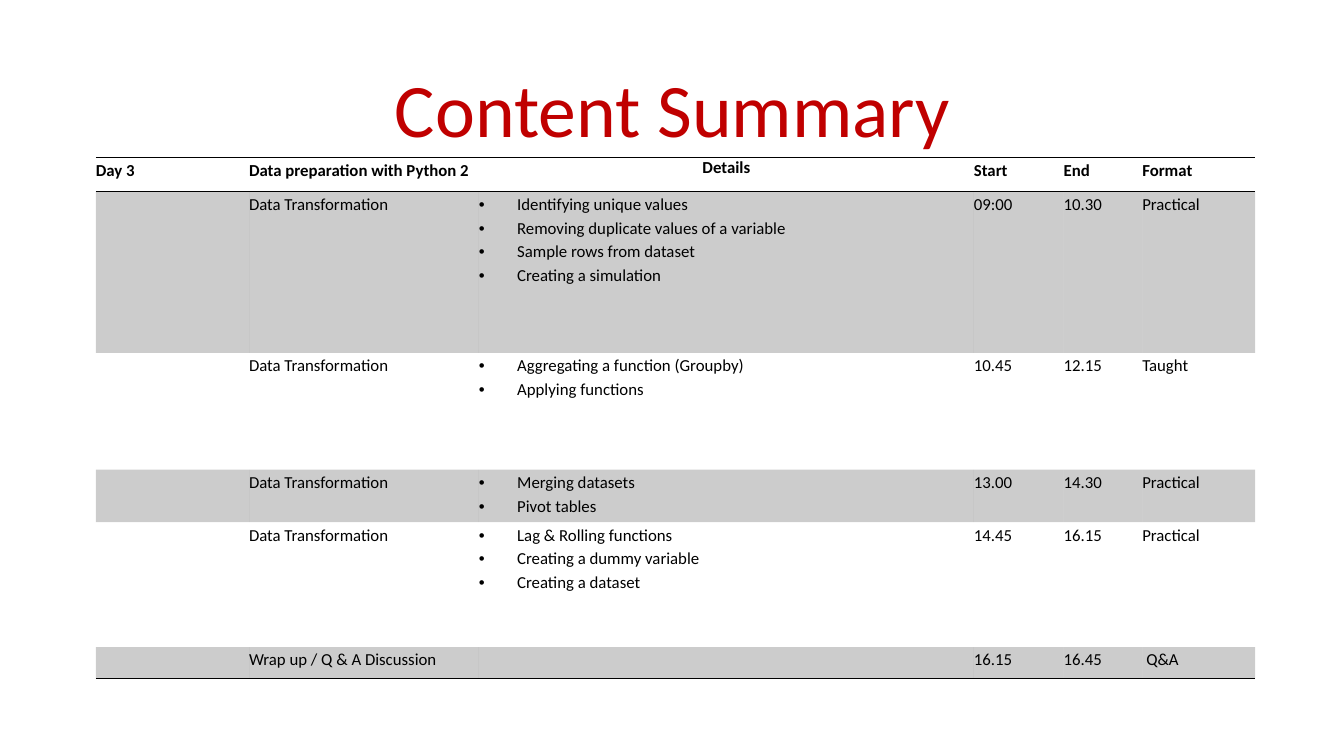
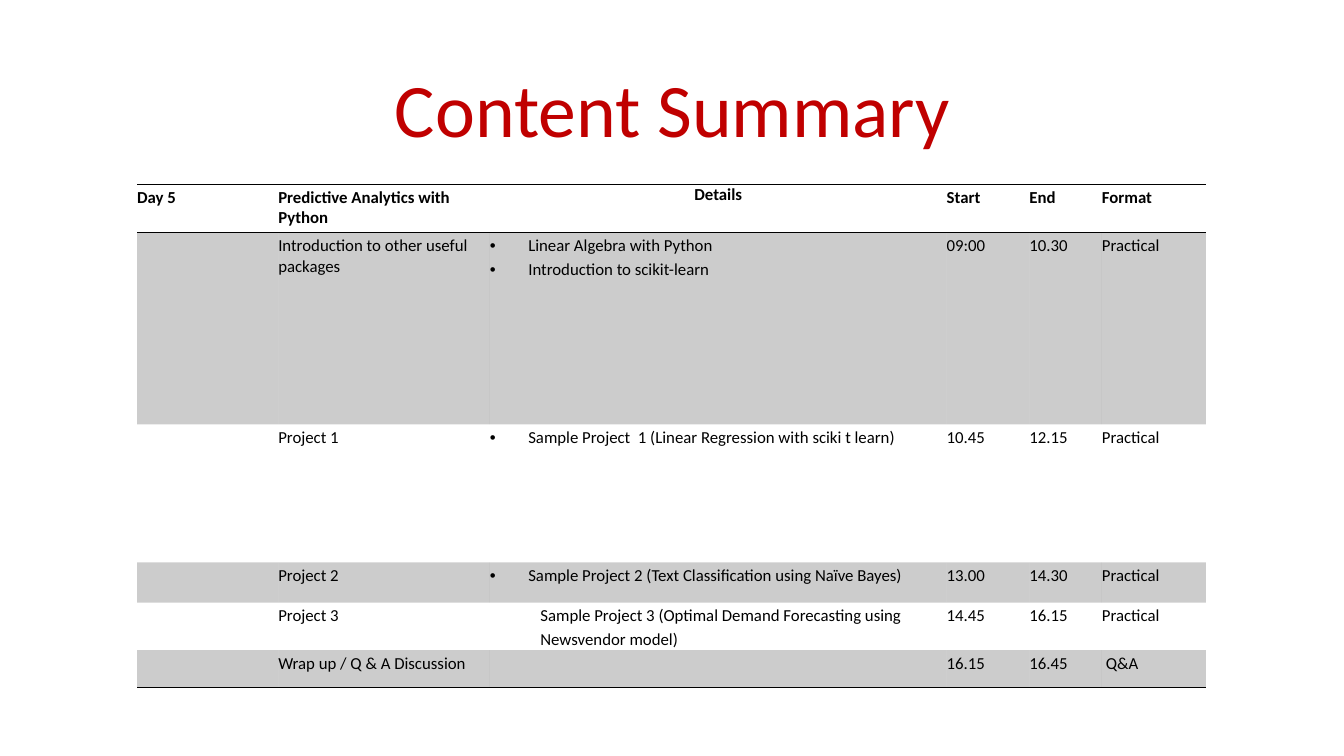
from lxml.etree import SubElement
from pptx import Presentation
from pptx.dml.color import RGBColor
from pptx.enum.text import MSO_ANCHOR as Anchor, MSO_AUTO_SIZE as AutoSize, PP_ALIGN as Align
from pptx.oxml.ns import qn
from pptx.util import Inches, Pt

RED = RGBColor(0xC0, 0x00, 0x00)
BLACK = RGBColor(0x00, 0x00, 0x00)
BAND_ALPHA = 20000  # thousandths of a percent
NO_STYLE = "{2D5ABB26-0587-4C30-8999-92F81FD0307C}"

TITLE_FONT = dict(name="Calibri", size=Pt(54))
BODY_FONT = dict(name="Calibri", size=Pt(12), bold=False)
HEAD_FONT = dict(BODY_FONT, bold=True)
TITLE_BOX = dict(left=Inches(0.92), top=Inches(0.4), width=Inches(11.5), height=Inches(1.45))
TITLE_FRAME = dict(vertical_anchor=Anchor.MIDDLE, auto_size=AutoSize.NONE, word_wrap=True)
TITLE_PARAGRAPH = dict(alignment=Align.CENTER, line_spacing=0.9)
TIGHT = dict(margin_left=0, margin_right=0, margin_top=0, margin_bottom=0)
PADDED = dict(TIGHT, margin_top=Inches(0.03), margin_bottom=Inches(0.03))
OFFSET = dict(PADDED, margin_left=Inches(0.04))


def apply(target, values):
    for name, value in values.items():
        setattr(target, name, value)


class Timetable:
    """Style of the deck and the slide being built."""

    def __init__(self):
        self.deck = Presentation()
        apply(self.deck, dict(slide_width=Inches(13.33), slide_height=Inches(7.5)))
        self.slide = None

    def title(self, text):
        self.slide = self.deck.slides.add_slide(self.deck.slide_layouts[5])
        heading = self.slide.shapes.title
        apply(heading, TITLE_BOX)
        apply(heading.text_frame, TITLE_FRAME)
        line = heading.text_frame.paragraphs[0]
        apply(line, TITLE_PARAGRAPH)
        self.run(line, text, TITLE_FONT, RED)

    def run(self, line, text, font, color=BLACK):
        run = line.add_run()
        run.text = text
        apply(run.font, font)
        run.font.color.rgb = color

    def text(self, cell, text, font, margins=PADDED, align=Align.LEFT):
        apply(cell, margins)
        line = cell.text_frame.paragraphs[0]
        line.alignment = align
        if text:
            self.run(line, text, font)
        else:  # keeps an empty cell from stretching its row
            SubElement(line._p, qn("a:endParaRPr"), sz="1200")

    def details(self, cell, items):
        """A list is bulleted, a single string is an indented paragraph."""
        if not items:
            return self.text(cell, "", BODY_FONT, TIGHT)
        apply(cell, TIGHT)
        bulleted = isinstance(items, list)
        lines = items if bulleted else [items]
        for index, text in enumerate(lines):
            frame = cell.text_frame
            line = frame.add_paragraph() if index else frame.paragraphs[0]
            last = index == len(lines) - 1
            apply(line, dict(line_spacing=1.15, space_after=Pt(10 if last else 0)))
            self.run(line, text, BODY_FONT)
            layout = line._p.get_or_add_pPr()
            hang = Inches(0.38)
            layout.set("marL", str(hang if bulleted else Inches(0.5)))
            layout.set("indent", str(-hang if bulleted else 0))
            if bulleted:
                SubElement(layout, qn("a:buFont"), typeface="Arial")
                SubElement(layout, qn("a:buChar"), char="•")

    def rules(self, cell, *sides):
        for side in sides:
            edge = SubElement(cell._tc.get_or_add_tcPr(), qn(f"a:ln{side}"), w=str(Pt(1)))
            paint = SubElement(edge, qn("a:solidFill"))
            SubElement(paint, qn("a:srgbClr"), val=str(BLACK))

    def band(self, cell):
        cell.fill.solid()
        cell.fill.fore_color.rgb = BLACK
        color = cell._tc.get_or_add_tcPr().find(f"{qn('a:solidFill')}/{qn('a:srgbClr')}")
        SubElement(color, qn("a:alpha"), val=str(BAND_ALPHA))

    def schedule(self, left, top, widths, heights, day, theme, sessions):
        frame = self.slide.shapes.add_table(
            len(heights), len(widths), Inches(left), Inches(top),
            Inches(sum(widths)), Inches(sum(heights)))
        table = frame.table
        frame.element.find(f".//{qn('a:tableStyleId')}").text = NO_STYLE
        apply(table, dict(first_row=False, horz_banding=False))
        for column, width in zip(table.columns, widths):
            column.width = Inches(width)
        for row, height in zip(table.rows, heights):
            row.height = Inches(height)

        # Header row
        for col, label in enumerate((day, theme, "Details", "Start", "End", "Format")):
            centred = label == "Details"
            self.text(table.cell(0, col), label, HEAD_FONT, TIGHT if centred else PADDED,
                      Align.CENTER if centred else Align.LEFT)

        # Session rows
        for row, (topic, items, start, end, kind) in enumerate(sessions, 1):
            for col, label in ((0, ""), (1, topic), (3, start), (4, end), (5, kind)):
                margins = OFFSET if label == "Q&A" else PADDED if label else TIGHT
                self.text(table.cell(row, col), label, BODY_FONT, margins)
            self.details(table.cell(row, 2), items)

        # Rules and bands
        for row in range(len(heights)):
            for col in range(len(widths)):
                cell = table.cell(row, col)
                if row == 0:
                    self.rules(cell, "T", "B")
                elif row == len(sessions):
                    self.rules(cell, "B")
                if row % 2:
                    self.band(cell)
                else:
                    cell.fill.background()


SLOTS = [("09:00", "10.30"), ("10.45", "12.15"), ("13.00", "14.30"), ("14.45", "16.15"),
         ("16.15", "16.45")]
WRAP_UP = ("Wrap up / Q & A Discussion", None, "Q&A")


def timed(*sessions):
    """Put the daily time slots into the sessions and close with the wrap up."""
    return [(topic, items, *slot, kind)
            for (topic, items, kind), slot in zip((*sessions, WRAP_UP), SLOTS)]


DAYS = [
    dict(left=0.95, top=1.56, day="Day 3", theme="Data preparation with Python 2",
         widths=[1.52, 2.28, 4.91, 0.89, 0.78, 1.12],
         heights=[0.34, 1.6, 1.16, 0.52, 1.24, 0.31],
         sessions=timed(
             ("Data Transformation",
              ["Identifying unique values", "Removing duplicate values of a variable",
               "Sample rows from dataset", "Creating a simulation"], "Practical"),
             ("Data Transformation",
              ["Aggregating a function (Groupby)", "Applying functions"], "Taught"),
             ("Data Transformation", ["Merging datasets", "Pivot tables"], "Practical"),
             ("Data Transformation",
              ["Lag & Rolling functions", "Creating a dummy variable",
               "Creating a dataset"], "Practical"))),
    dict(left=1.36, top=1.83, day="Day 5", theme="Predictive Analytics with Python",
         widths=[1.4, 2.1, 4.53, 0.82, 0.72, 1.03],
         heights=[0.48, 1.9, 1.37, 0.4, 0.47, 0.37],
         sessions=timed(
             ("Introduction to other useful packages",
              ["Linear Algebra with Python", "Introduction to scikit-learn"], "Practical"),
             ("Project 1",
              ["Sample Project  1 (Linear Regression with sciki t learn)"], "Practical"),
             ("Project 2",
              ["Sample Project 2 (Text Classification using Naïve Bayes)"], "Practical"),
             ("Project 3",
              "Sample Project 3 (Optimal Demand Forecasting using Newsvendor model)",
              "Practical"))),
]


def main():
    timetable = Timetable()
    for day in DAYS:
        timetable.title("Content Summary")
        timetable.schedule(**day)
    timetable.deck.save("out.pptx")


if __name__ == "__main__":
    main()
